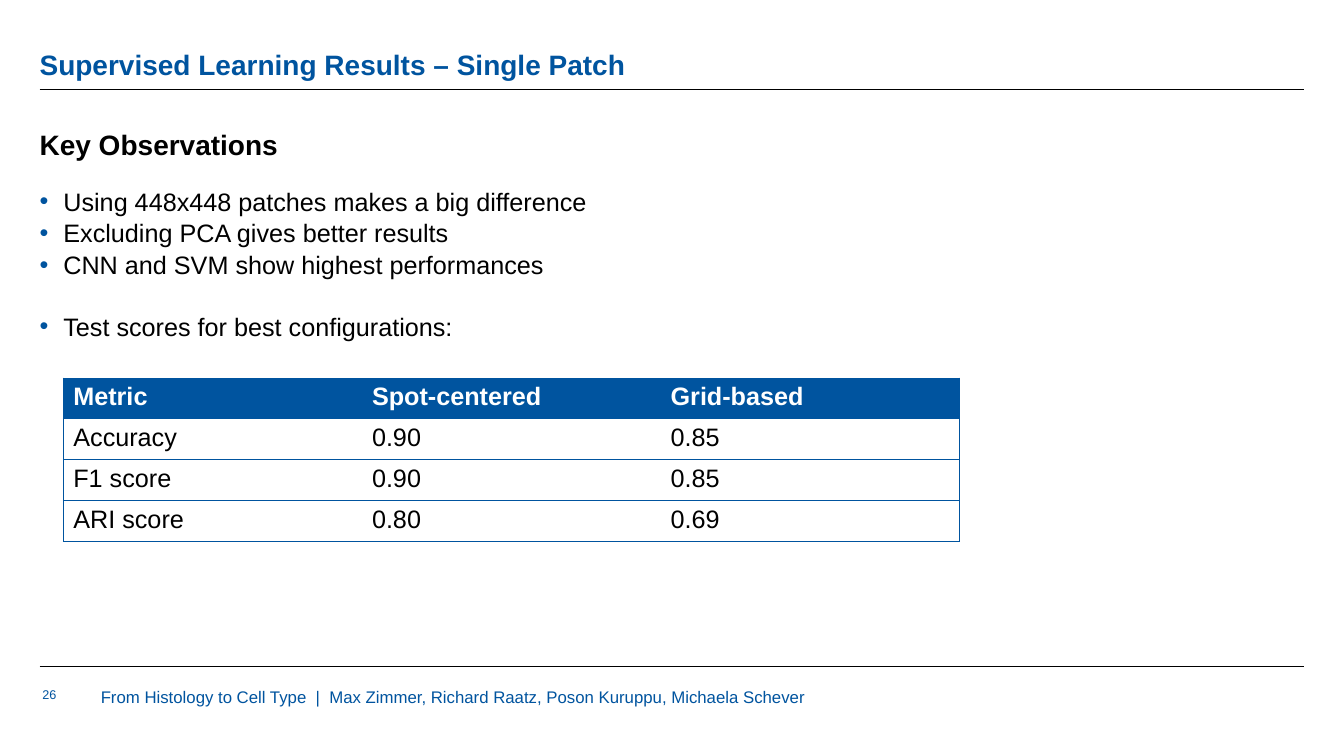
"""Build the slide on single-patch supervised learning results."""
from pptx import Presentation, util as u
from pptx.dml.color import RGBColor
from pptx.enum import shapes, text
from pptx.oxml import parse_xml
from pptx.oxml.ns import nsdecls

Pt = u.Pt
HUES = {"blue": "00549F", "black": "000000", "white": "FFFFFF"}
LEFT, WIDE = 28.3, 903.4

deck = Presentation()
deck.slide_width, deck.slide_height = Pt(960), Pt(540)
slide = deck.slides.add_slide(deck.slide_layouts[6])


def write(frame, lines, size=18, hue="black", bold=False, bullet=False, gaps=(), line=None):
    """Fill a text frame with one paragraph per line."""
    frame.word_wrap = True
    for i, words in enumerate(lines):
        para = frame.paragraphs[0] if i == 0 else frame.add_paragraph()
        if bullet:
            props = para._p.get_or_add_pPr()
            props.set("marL", str(Pt(17)))
            props.set("indent", str(-Pt(17)))
            props.append(parse_xml(
                f'<a:buClr {nsdecls("a")}><a:srgbClr val="{HUES["blue"]}"/></a:buClr>'))
            props.append(parse_xml(f'<a:buFont {nsdecls("a")} typeface="Arial"/>'))
            props.append(parse_xml(f'<a:buChar {nsdecls("a")} char="•"/>'))
        if i and gaps:
            para.space_before = Pt(gaps[i - 1])
        if line:
            para.line_spacing = line
        run = para.add_run()
        run.text = words
        run.font.name, run.font.size, run.font.bold = "Arial", Pt(size), bold
        run.font.color.rgb = RGBColor.from_string(HUES[hue])


for y in (475.9, 64.1):
    rule = slide.shapes.add_connector(
        shapes.MSO_CONNECTOR.STRAIGHT, Pt(LEFT), Pt(y), Pt(LEFT + WIDE), Pt(y))
    rule.line.color.rgb = RGBColor.from_string(HUES["black"])
    rule.line.width = Pt(0.5)
    rule._element.spPr.append(parse_xml(f'<a:effectLst {nsdecls("a")}/>'))

points = ["Using 448x448 patches makes a big difference",
          "Excluding PCA gives better results",
          "CNN and SVM show highest performances",
          "Test scores for best configurations:"]
foot = "From Histology to Cell Type  |  Max Zimmer, Richard Raatz, Poson Kuruppu, Michaela Schever"
boxes = [
    ((72, 490.3, 573, 34), [foot], {"size": 12, "hue": "blue"}),
    ((30.2, 490.3, 40, 31), ["26"], {"size": 9, "hue": "blue"}),
    ((LEFT, 16, WIDE, 42.4), ["Supervised Learning Results – Single Patch"],
     {"size": 20, "hue": "blue", "bold": True, "line": 0.9}),
    ((LEFT, 91, WIDE, 20), ["Key Observations"], {"size": 20, "bold": True}),
    ((LEFT, 132.8, WIDE, 314), points, {"bullet": True, "gaps": (1, 1, 22.6)}),
]
for spot, lines, style in boxes:
    frame = slide.shapes.add_textbox(*map(Pt, spot)).text_frame
    frame.margin_left = frame.margin_top = frame.margin_right = frame.margin_bottom = 0
    if "line" in style:
        frame.vertical_anchor = text.MSO_ANCHOR.BOTTOM
    write(frame, lines, **style)

scores = [("Metric", "Spot-centered", "Grid-based"),
          ("Accuracy", "0.90", "0.85"),
          ("F1 score", "0.90", "0.85"),
          ("ARI score", "0.80", "0.69")]
grid = slide.shapes.add_table(4, 3, Pt(45.2), Pt(270), Pt(640), Pt(117)).table
grid.horz_banding = False
for r, row in enumerate(scores):
    for c, words in enumerate(row):
        cell = grid.cell(r, c)
        props = cell._tc.get_or_add_tcPr()
        edges = {"lnL": c == 0, "lnR": c == 2, "lnT": True, "lnB": True}
        for edge, shown in edges.items():
            paint = (f'<a:solidFill><a:srgbClr val="{HUES["blue"]}"/></a:solidFill>'
                     if shown else "<a:noFill/>")
            props.append(parse_xml(
                f'<a:{edge} {nsdecls("a")} w="{Pt(0.75)}">{paint}</a:{edge}>'))
        head = r == 0
        cell.fill.solid()
        cell.fill.fore_color.rgb = RGBColor.from_string(HUES["blue" if head else "white"])
        write(cell.text_frame, [words], hue="white" if head else "black", bold=head)

deck.save("out.pptx")
